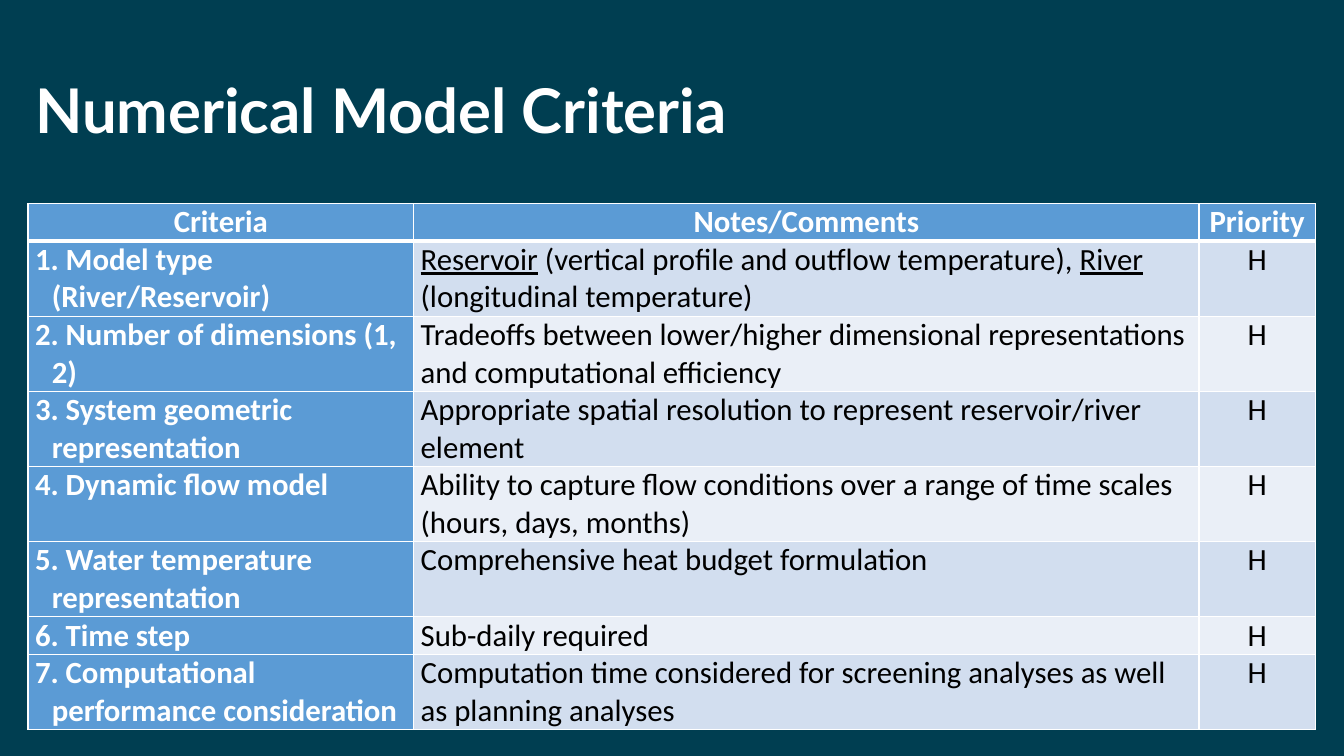
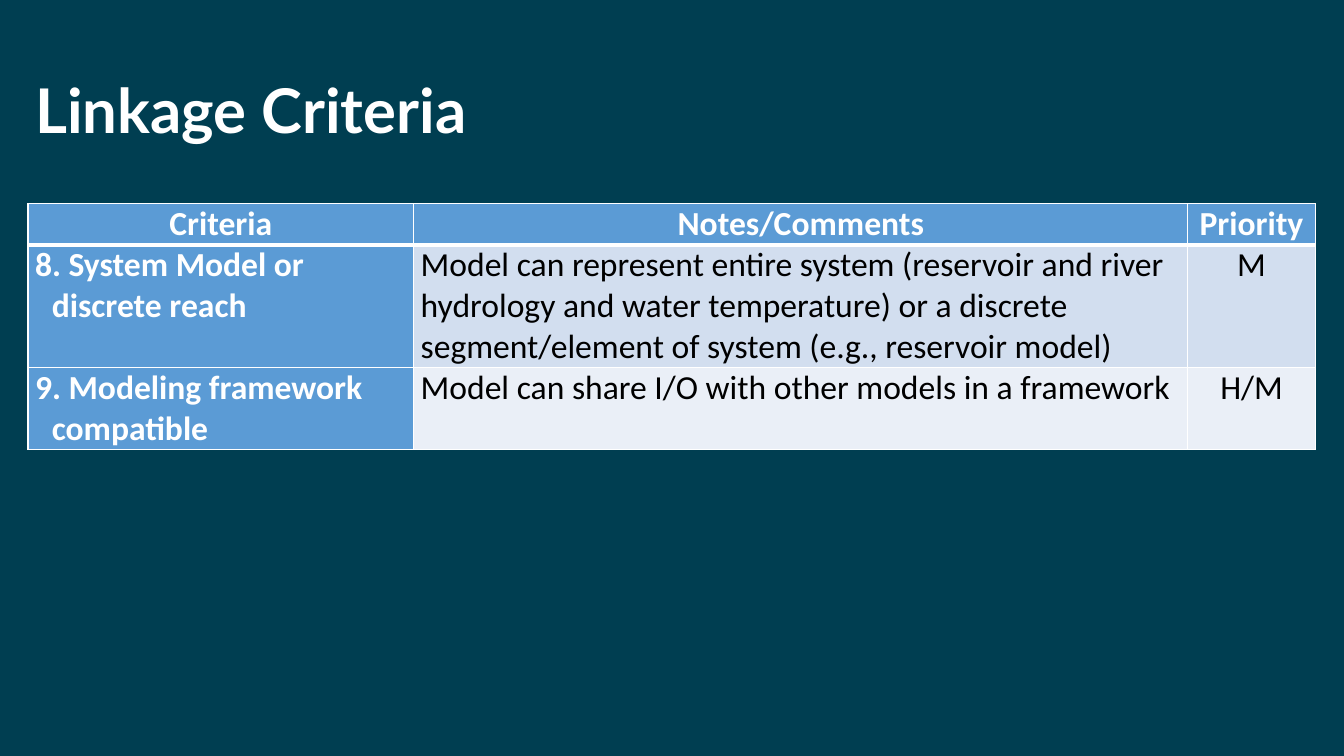
import pptx
import pptx.dml.color
import pptx.enum.text
import pptx.util
from lxml import etree

Pt = pptx.util.Pt
RGB = pptx.dml.color.RGBColor
ALIGN = pptx.enum.text.PP_ALIGN
MIDDLE = pptx.enum.text.MSO_ANCHOR.MIDDLE

NAVY = RGB(0x00, 0x3E, 0x51)
BLUE = RGB(0x5B, 0x9B, 0xD5)
BANDS = (RGB(0xD2, 0xDE, 0xEF), RGB(0xEA, 0xEF, 0xF7))
WHITE = RGB(0xFF, 0xFF, 0xFF)
BLACK = RGB(0x00, 0x00, 0x00)

SLIDE = (960, 540)
TITLE_BOX = (18, 29, 922, 104)
TABLE_BOX = (20, 145.5, 919.5)  # left, top, width
FIRST_COL = 275.5
LINE = 1.22  # line height of the table font, in ems
HEADS = ("Criteria", "Notes/Comments", "Priority")

# Each row: criterion, runs of the note, priority, lines of text.
# A run is a string, or a one-item tuple when underlined.
MODEL_ROWS = [
    ("1. Model type (River/Reservoir)",
     [("Reservoir",), " (vertical profile and outflow temperature), ",
      ("River",), " (longitudinal temperature)"], "H", 2),
    ("2. Number of dimensions (1, 2)",
     ["Tradeoffs between lower/higher dimensional representations "
      "and computational efficiency"], "H", 2),
    ("3. System geometric representation",
     ["Appropriate spatial resolution to represent reservoir/river element"],
     "H", 2),
    ("4. Dynamic flow model",
     ["Ability to capture flow conditions over a range of time scales "
      "(hours, days, months)"], "H", 2),
    ("5. Water temperature representation",
     ["Comprehensive heat budget formulation"], "H", 2),
    ("6. Time step", ["Sub-daily required"], "H", 1),
    ("7. Computational performance consideration",
     ["Computation time considered for screening analyses as well "
      "as planning analyses"], "H", 2),
]
LINK_ROWS = [
    ("8. System Model or discrete reach",
     ["Model can represent entire system (reservoir and river hydrology and "
      "water temperature) or a discrete segment/element of system "
      "(e.g., reservoir model)"], "M", 3),
    ("9. Modeling framework compatible",
     ["Model can share I/O with other models in a framework"], "H/M", 2),
]


def apply(target, values):
    for name, value in values.items():
        setattr(target, name, value)


def style(font, face, size, color, bold):
    apply(font, {"name": face, "size": Pt(size), "bold": bold})
    font.color.rgb = color


def add_title(slide, box, text):
    title = slide.shapes.title
    apply(title, dict(zip(("left", "top", "width", "height"), map(Pt, box))))
    frame = title.text_frame
    frame.text = text
    frame.vertical_anchor = MIDDLE
    para = frame.paragraphs[0]
    apply(para, {"alignment": ALIGN.LEFT, "line_spacing": 0.9})
    style(para.runs[0].font, "Lato", 44, WHITE, True)


def set_edges(cell, widths):
    """Draw white cell borders; widths maps L, R, T and B to points."""
    props = cell._tc.get_or_add_tcPr()
    for side, width in widths.items():
        line = etree.SubElement(props, pptx.oxml.ns.qn(f"a:ln{side}"),
                                w=str(Pt(width)))
        fill = etree.SubElement(line, pptx.oxml.ns.qn("a:solidFill"))
        etree.SubElement(fill, pptx.oxml.ns.qn("a:srgbClr"), val=str(WHITE))


def fill_cell(cell, runs, row, col, size):
    head = row == 0
    strong = head or col == 0
    set_edges(cell, {"L": 1, "R": 1, "T": 3 if row == 1 else 1,
                     "B": 3 if head else 1})
    cell.fill.solid()
    cell.fill.fore_color.rgb = BLUE if strong else BANDS[(row - 1) % 2]
    apply(cell, {"margin_left": Pt(5), "margin_right": Pt(5),
                 "margin_top": 0, "margin_bottom": 0})
    para = cell.text_frame.paragraphs[0]
    para.space_after = Pt(6)
    para.alignment = ALIGN.CENTER if head or col == 2 else ALIGN.LEFT
    if col == 0 and not head:
        props = para._p.get_or_add_pPr()
        props.set("marL", str(Pt(12)))
        props.set("indent", str(Pt(-12)))
    for item in runs:
        under = isinstance(item, tuple)
        run = para.add_run()
        run.text = item[0] if under else item
        style(run.font, "Calibri", size, WHITE if strong else BLACK, strong)
        if under:
            run.font.underline = True


def add_grid(slide, box, rows, size, last):
    """Place a criteria table; last is the width of the priority column."""
    left, top, width = box
    lines = [1] + [row[3] for row in rows]
    tall = [round(count * size * LINE, 2) for count in lines]
    table = slide.shapes.add_table(
        len(lines), len(HEADS), Pt(left), Pt(top), Pt(width),
        Pt(sum(tall))).table
    for col, wide in zip(table.columns,
                         (FIRST_COL, width - FIRST_COL - last, last)):
        col.width = Pt(wide)
    for row, height in zip(table.rows, tall):
        row.height = Pt(height)
    texts = [[[head] for head in HEADS]]
    texts += [([name], note, [rank]) for name, note, rank, _ in rows]
    for r, cells in enumerate(texts):
        for c, runs in enumerate(cells):
            fill_cell(table.cell(r, c), runs, r, c, size)


def add_page(deck, title, rows, size, last):
    slide = deck.slides.add_slide(deck.slide_layouts[5])
    add_title(slide, TITLE_BOX, title)
    add_grid(slide, TABLE_BOX, rows, size, last)


def main():
    deck = pptx.Presentation()
    deck.slide_width, deck.slide_height = map(Pt, SLIDE)
    back = deck.slide_master.background.fill
    back.solid()
    back.fore_color.rgb = NAVY
    add_page(deck, "Numerical Model Criteria", MODEL_ROWS, 22, 83)
    add_page(deck, "Linkage Criteria", LINK_ROWS, 24, 91)
    deck.save("out.pptx")


if __name__ == "__main__":
    main()
